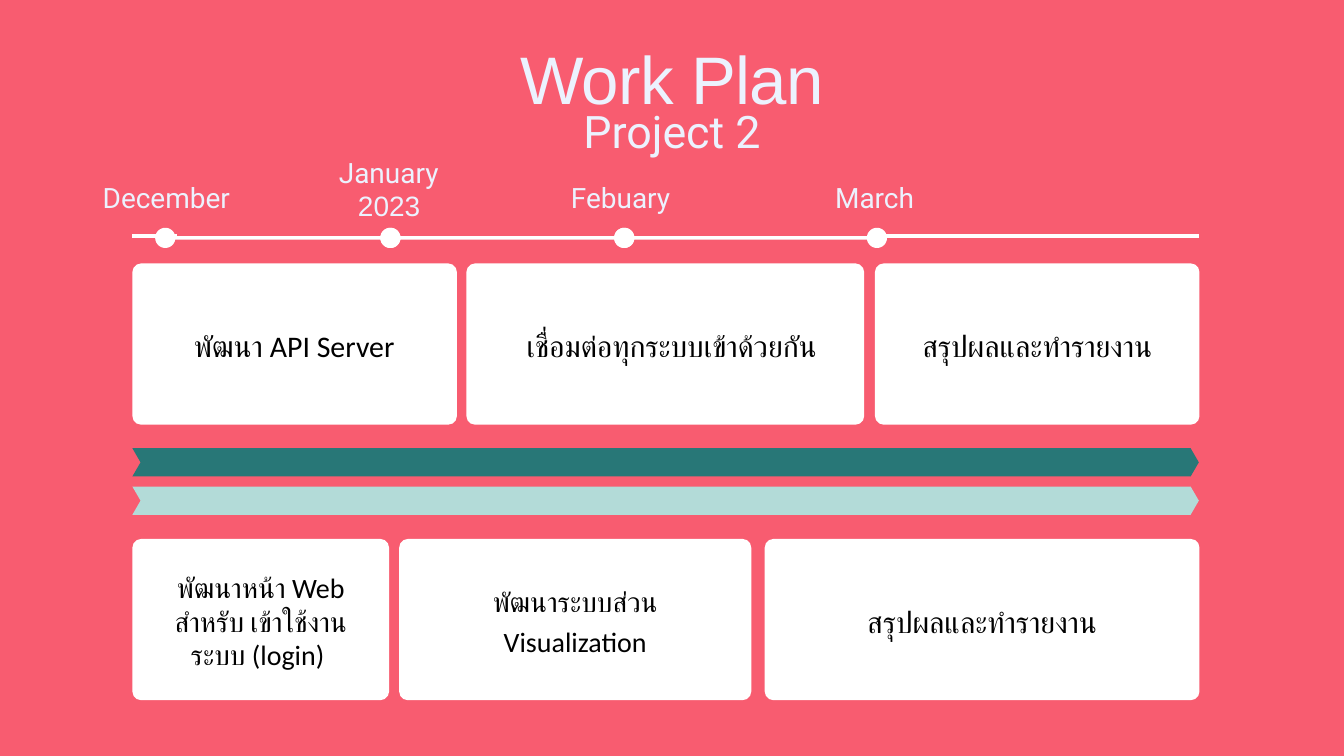
import math

import pptx
import pptx.dml.color
import pptx.enum.shapes
import pptx.enum.text
import pptx.oxml.ns
import pptx.util
from lxml import etree
from pptx.util import Inches

SHAPES = pptx.enum.shapes.MSO_SHAPE
WHITE, BLACK, PALE = "FFFFFF", "000000", "ECF2FE"


def colour(value):
    return pptx.dml.color.RGBColor.from_string(value)


class WorkPlan:
    dot_radius = 0.15
    bar_half = 0.025
    card_height = 2.4
    card_corner = 0.13

    def __init__(self, slide, background):
        self.slide = slide
        slide.background.fill.solid()
        slide.background.fill.fore_color.rgb = colour(background)

    def paint(self, shape, fill):
        shape.shadow.inherit = False
        shape.fill.solid()
        shape.fill.fore_color.rgb = colour(fill)
        shape.line.fill.background()

    def preset(self, kind, left, top, width, height, fill, adjustment):
        shape = self.slide.shapes.add_shape(
            kind, Inches(left), Inches(top), Inches(width), Inches(height))
        shape.adjustments[0] = adjustment
        self.paint(shape, fill)

    def card(self, left, top, width):
        self.preset(SHAPES.ROUNDED_RECTANGLE, left, top, width,
                    self.card_height, WHITE, self.card_corner / self.card_height)

    def ribbon(self, top, fill):
        self.preset(SHAPES.CHEVRON, 1.97, top, 15.87, 0.42, fill, 0.29)

    def dumbbell(self, start, end, middle):
        """Draw two dots joined by a thin bar, as one outline."""
        gap = math.asin(self.bar_half / self.dot_radius)
        steps = 48
        points = []
        for centre, first in ((start, gap), (end, math.pi + gap)):
            for step in range(steps + 1):
                angle = first + (2 * math.pi - 2 * gap) * step / steps
                points.append((Inches(centre + self.dot_radius * math.cos(angle)),
                               Inches(middle + self.dot_radius * math.sin(angle))))
        builder = self.slide.shapes.build_freeform(*points[0])
        builder.add_line_segments(points[1:], close=True)
        self.paint(builder.convert_to_shape(), WHITE)

    def rule(self, start, end, height, weight):
        line = self.slide.shapes.add_connector(
            pptx.enum.shapes.MSO_CONNECTOR.STRAIGHT,
            Inches(start), Inches(height), Inches(end), Inches(height))
        line.line.color.rgb = colour(WHITE)
        line.line.width = pptx.util.Pt(weight)
        etree.SubElement(line._element.spPr, pptx.oxml.ns.qn("a:effectLst"))

    def text(self, wording, place, size, spacing, font="Calibri",
             ink=BLACK, tracking=None):
        box = self.slide.shapes.add_textbox(*map(Inches, place))
        frame = box.text_frame
        frame_format = {
            "word_wrap": True,
            "auto_size": pptx.enum.text.MSO_AUTO_SIZE.SHAPE_TO_FIT_TEXT,
            "margin_left": 0, "margin_right": 0,
            "margin_top": 0, "margin_bottom": 0,
        }
        for name, value in frame_format.items():
            setattr(frame, name, value)
        para = frame.paragraphs[0]
        para.alignment = pptx.enum.text.PP_ALIGN.CENTER
        para.line_spacing = pptx.util.Pt(spacing)
        span = para.add_run()
        span.text = wording
        span.font.size = pptx.util.Pt(size)
        span.font.color.rgb = colour(ink)
        span.font.name = font
        properties = span._r.get_or_add_rPr()
        # Thai letters take the complex-script font
        etree.SubElement(properties, pptx.oxml.ns.qn("a:cs"), typeface=font)
        if tracking is not None:
            properties.set("spc", str(round(tracking * 100)))


def main():
    deck = pptx.Presentation()
    deck.slide_width, deck.slide_height = Inches(20), Inches(11.25)
    page = WorkPlan(deck.slides.add_slide(deck.slide_layouts[6]), "F85C70")

    rows = {
        3.92: [(1.97, 4.83), (6.94, 5.92), (13.02, 4.83)],
        8.02: [(1.97, 3.82), (5.94, 5.24), (11.38, 6.47)],
    }
    for top, cards in rows.items():
        for left, width in cards:
            page.card(left, top, width)

    tasks = [
        ("พัฒนา API Server", (2.63, 4.78, 3.5, 0.6), 32, 45.4),
        ("เชื่อมต่อทุกระบบเข้าด้วยกัน", (7.57, 4.78, 4.85, 0.6), 32, 45.4),
        ("สรุปผลและทำรายงาน", (13.48, 4.78, 3.91, 0.6), 32, 45.4),
        ("พัฒนาหน้า Web สำหรับ เข้าใช้งานระบบ (login) ",
         (2.48, 8.49, 2.8, 1.47), 30, 36),
        ("พัฒนาระบบส่วน Visualization", (7.16, 8.61, 2.8, 1.15), 30, 42.6),
        ("สรุปผลและทำรายงาน", (12.66, 8.88, 3.91, 0.6), 32, 45.4),
    ]
    for task in tasks:
        page.text(*task)

    page.text("Work Plan", (7.14, 0.45, 5.72, 1.27), 72, 93.6, "Arial", PALE, -0.7)
    page.text("Project 2", (7.14, 1.4, 5.72, 0.91), 48, 68.2, "Roboto", PALE)

    page.ribbon(6.67, "287777")
    page.ribbon(7.24, "B3DBD8")

    dots = [2.46, 5.81, 9.29, 13.05]
    for start, end in zip(dots, dots[1:]):
        page.dumbbell(start, end, 3.54)
    page.rule(1.97, 2.64, 3.51, 4.5)
    page.rule(12.94, 17.84, 3.51, 3.75)

    months = [("December", 1.4, 2.6), ("January", 4.71, 2.23),
              ("Febuary", 8.16, 2.6), ("March", 11.94, 2.6)]
    for month, left, top in months:
        page.text(month, (left, top, 2.15, 0.56), 30, 42.6, "Roboto", PALE)
    page.text("2023", (4.78, 2.72, 2.02, 0.56), 30, 42.6, "Arial", PALE)

    deck.save("out.pptx")


if __name__ == "__main__":
    main()
